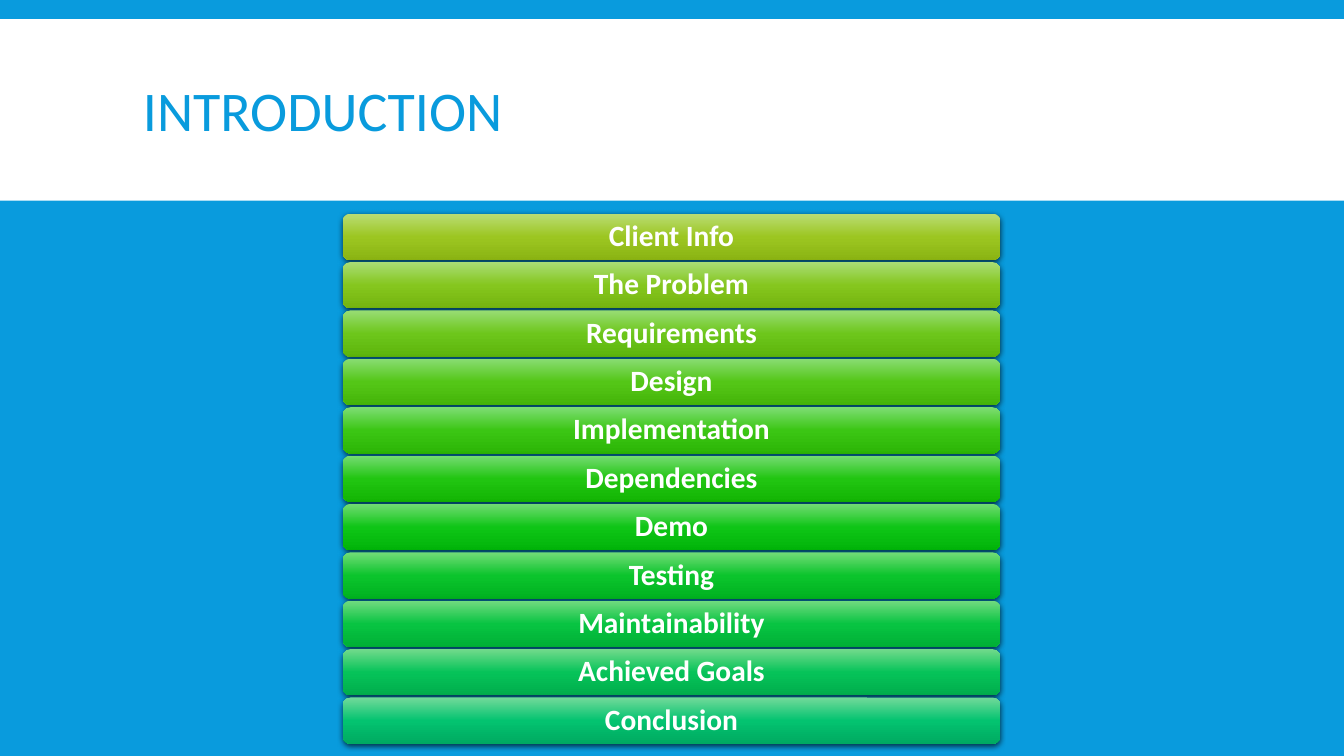
from copy import deepcopy
from dataclasses import dataclass

from lxml.etree import SubElement
from pptx import Presentation
from pptx.dml.color import RGBColor
from pptx.enum.shapes import MSO_SHAPE
from pptx.enum.text import MSO_ANCHOR, PP_ALIGN
from pptx.oxml.ns import qn
from pptx.util import Inches, Pt


@dataclass(frozen=True)
class Theme:
    font: str = "Calibri"
    background: str = "099BDD"
    light: str = "FFFFFF"
    shadow: str = "000000"
    title_size: int = 40
    item_size: int = 21


@dataclass(frozen=True)
class Grid:
    left: float = 3.4
    top: float = 2.12
    width: float = 6.52
    row_height: float = 0.46
    row_pitch: float = 0.48

    def row(self, index):
        top = self.top + index * self.row_pitch
        return self.left, top, self.width, self.row_height


AGENDA = [
    ("Client Info", ("BADD75", "9CC621", "8BB413")),
    ("The Problem", ("A9DD75", "85C61E", "74B40F")),
    ("Requirements", ("98DD74", "6DC61B", "5DB50C")),
    ("Design", ("89DD73", "54C617", "45B509")),
    ("Implementation", ("7DDD73", "3BC614", "2CB506")),
    ("Dependencies", ("75DC73", "21C511", "13B504")),
    ("Demo", ("72DC73", "0EC516", "01B409")),
    ("Testing", ("72DC78", "0BC42C", "00B220")),
    ("Maintainability", ("72DB80", "08C442", "00B036")),
    ("Achieved Goals", ("72DA8C", "06C359", "00AD4C")),
    ("Conclusion", ("72DA9A", "03C370", "00AA61")),
]


class AgendaSlide:
    def __init__(self, presentation, theme, grid):
        self.theme = theme
        self.grid = grid
        self.slide = presentation.slides.add_slide(presentation.slide_layouts[6])
        background = self.slide.background.fill
        background.solid()
        background.fore_color.rgb = RGBColor.from_string(theme.background)

    def shape(self, kind, box):
        shape = self.slide.shapes.add_shape(kind, *map(Inches, box))
        shape.shadow.inherit = False
        shape.line.fill.background()
        return shape

    def band(self, box):
        band = self.shape(MSO_SHAPE.RECTANGLE, box)
        band.fill.solid()
        band.fill.fore_color.rgb = RGBColor.from_string(self.theme.light)

    def label(self, shape, text, size, color, bold, spacing):
        frame = shape.text_frame
        frame.text = text
        frame.word_wrap = True
        frame.vertical_anchor = MSO_ANCHOR.MIDDLE
        paragraph = frame.paragraphs[0]
        paragraph.line_spacing = spacing
        font = paragraph.runs[0].font
        font.name = self.theme.font
        font.size = Pt(size)
        font.bold = bold
        font.color.rgb = RGBColor.from_string(color)
        return paragraph

    def title(self, text, box):
        title = self.slide.shapes.add_textbox(*map(Inches, box))
        self.label(title, text, self.theme.title_size, self.theme.background, False, 0.85)

    def bar(self, index, text, colors):
        bar = self.shape(MSO_SHAPE.ROUNDED_RECTANGLE, self.grid.row(index))
        self.gradient(bar, colors)
        self.drop_shadow(bar)
        paragraph = self.label(bar, text, self.theme.item_size, self.theme.light, True, 0.9)
        paragraph.alignment = PP_ALIGN.CENTER

    def gradient(self, shape, colors):
        fill = shape.fill
        fill.gradient()
        fill.gradient_angle = 270
        stops = shape.element.spPr.find(".//" + qn("a:gsLst"))
        stops.append(deepcopy(stops[-1]))
        for stop, color, position in zip(fill.gradient_stops, colors, (0, 0.5, 1)):
            stop.color.rgb = RGBColor.from_string(color)
            stop.position = position

    def drop_shadow(self, shape):
        effects = shape.element.spPr.find(qn("a:effectLst"))
        shadow = SubElement(
            effects, qn("a:outerShdw"), blurRad=str(Pt(4)), dist=str(Pt(1.2)),
            dir="5400000", algn="ctr", rotWithShape="0",
        )
        color = SubElement(shadow, qn("a:srgbClr"), val=self.theme.shadow)
        SubElement(color, qn("a:alpha"), val="68000")


def main():
    presentation = Presentation()
    presentation.slide_width = Inches(13.33)
    presentation.slide_height = Inches(7.5)
    agenda = AgendaSlide(presentation, Theme(), Grid())
    agenda.band((0, 0.19, 13.33, 1.8))
    agenda.title("INTRODUCTION", (1.32, 0.31, 10.7, 1.65))
    for index, (text, colors) in enumerate(AGENDA):
        agenda.bar(index, text, colors)
    presentation.save("out.pptx")


if __name__ == "__main__":
    main()
